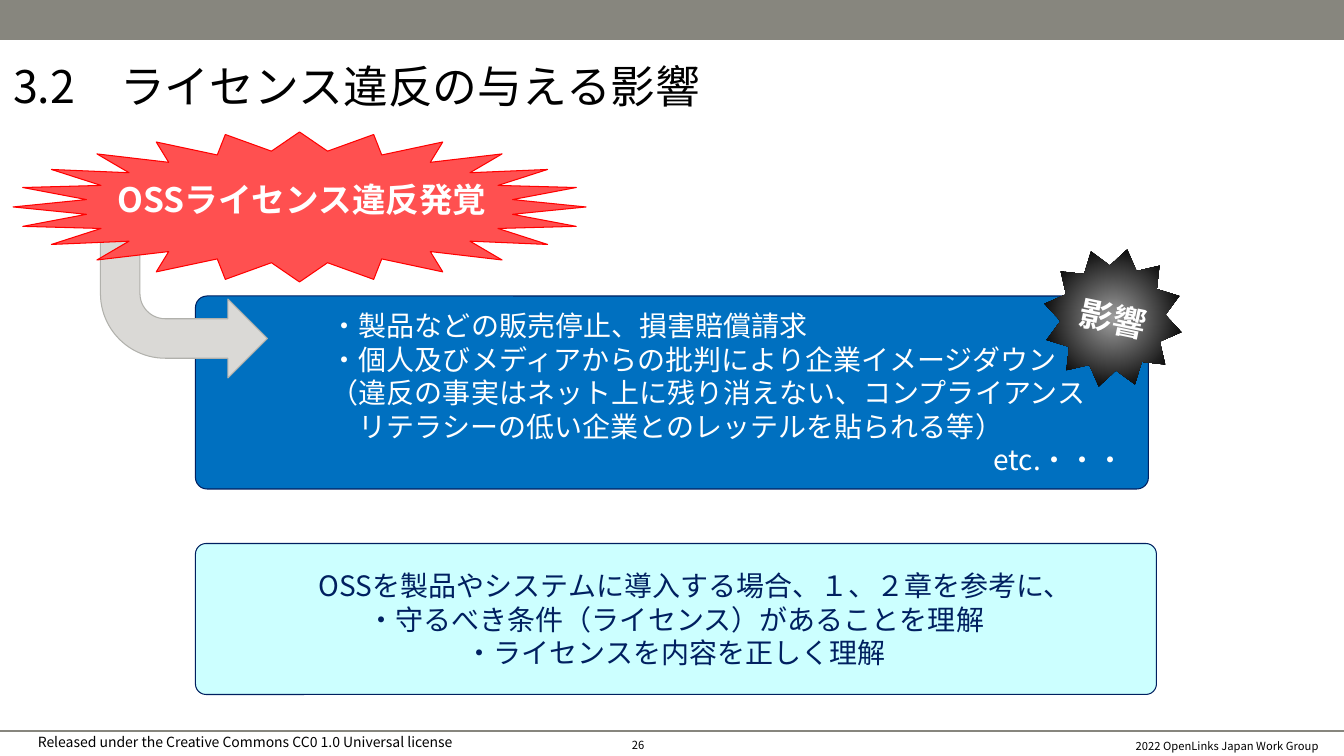
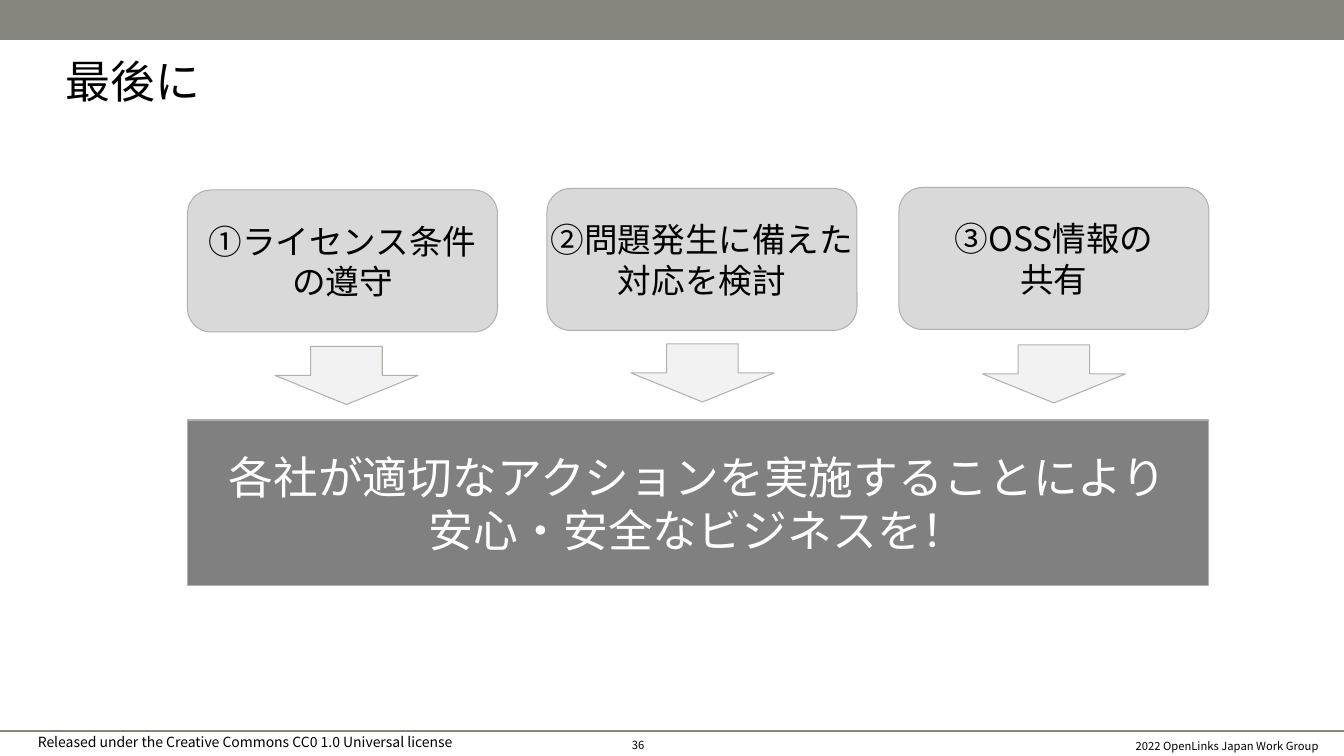
from pptx import Presentation
from pptx.dml.color import RGBColor
from pptx.enum.shapes import MSO_CONNECTOR, MSO_SHAPE
from pptx.enum.text import MSO_ANCHOR, PP_ALIGN
from pptx.oxml import parse_xml
from pptx.oxml.ns import nsdecls, qn
from pptx.util import Pt
from lxml.etree import SubElement

SCALE = 914400 / 100.8
WIDE, HIGH = 1344, 756
FONT = "Noto Sans CJK JP"
BLACK = RGBColor(0, 0, 0)
WHITE = RGBColor(255, 255, 255)
BAND = RGBColor(0x87, 0x86, 0x7E)
NAVY = RGBColor(0, 0x20, 0x60)
BLUE = RGBColor(0, 0x70, 0xC0)
CYAN = RGBColor(0xCC, 0xFF, 0xFF)
CORAL = RGBColor(0xFF, 0x50, 0x50)
RED = RGBColor(0xFF, 0, 0)
EDGE = RGBColor(0xB1, 0xB1, 0xAC)
STONE = RGBColor(0xDA, 0xD9, 0xD6)
GRAY = RGBColor(0x80, 0x80, 0x80)
SILVER = RGBColor(0xD9, 0xD9, 0xD9)
PALE = RGBColor(0xF2, 0xF2, 0xF2)
LEFT, MID, RIGHT = PP_ALIGN.LEFT, PP_ALIGN.CENTER, PP_ALIGN.RIGHT
NONE = (0, 0, 0, 0)
ROOMY = (20, 16, 20, 16)
USUAL = (10, 5, 10, 5)


def px(size):
    return round(size * SCALE)


def write(shape, text, size, color=BLACK, align=MID, pad=USUAL,
          bold=False, wrap=True, anchor=MSO_ANCHOR.MIDDLE):
    frame = shape.text_frame
    frame.text = text
    frame.word_wrap = wrap
    frame.vertical_anchor = anchor
    (frame.margin_left, frame.margin_top,
     frame.margin_right, frame.margin_bottom) = map(px, pad)
    lines = frame.paragraphs
    for line in lines:
        line.alignment = align
        if len(lines) > 1:
            line.line_spacing = Pt(size * 1.2)
        for run in line.runs:
            font = run.font
            font.name, font.size, font.bold = FONT, Pt(size), bold
            font.color.rgb = color
            SubElement(font._element, qn("a:ea")).set("typeface", FONT)
    return lines


def label(slide, box, text, size, **style):
    shape = slide.shapes.add_textbox(*map(px, box))
    write(shape, text, size, **style)


def block(slide, kind, box, fill=None, edge=None, round_by=None):
    shape = slide.shapes.add_shape(kind, *map(px, box))
    shape.shadow.inherit = False
    if fill is not None:
        shape.fill.solid()
        shape.fill.fore_color.rgb = fill
    if edge is None:
        shape.line.fill.background()
    else:
        shape.line.color.rgb = edge
        shape.line.width = Pt(0.75)
    if round_by is not None:
        shape.adjustments[0] = round_by
    return shape


def indent(line, left):
    line._p.get_or_add_pPr().set("marL", str(px(left)))


def glow(shape):
    grad = parse_xml(
        f'<a:gradFill {nsdecls("a")} rotWithShape="1"><a:gsLst>'
        '<a:gs pos="0"><a:srgbClr val="A0A0A0"/></a:gs>'
        '<a:gs pos="66000"><a:srgbClr val="000000"/></a:gs></a:gsLst>'
        '<a:path path="circle"><a:fillToRect l="50000" t="50000" '
        'r="50000" b="50000"/></a:path></a:gradFill>')
    shape._element.spPr.find(qn("a:prstGeom")).addnext(grad)


def start(deck, title, box, number):
    slide = deck.slides.add_slide(deck.slide_layouts[6])
    rule = slide.shapes.add_connector(
        MSO_CONNECTOR.STRAIGHT, 0, px(731), px(WIDE), px(731))
    rule.line.color.rgb = BAND
    rule.line.width = Pt(1)
    SubElement(rule._element.spPr, qn("a:effectLst"))
    block(slide, MSO_SHAPE.RECTANGLE, (0, 0, WIDE, 40), BAND)
    label(slide, (3, 729, 484, 27),
          "Released under the Creative Commons CC0 1.0 Universal license",
          10, anchor=MSO_ANCHOR.TOP)
    label(slide, (728, 735, 591, 22), "2022 OpenLinks Japan Work Group",
          8, align=RIGHT, pad=NONE)
    label(slide, (632, 734, 80, 22), number, 8, align=LEFT, pad=NONE)
    label(slide, box, title, 32, align=LEFT, pad=NONE)
    return slide


def impact(deck):
    slide = start(deck, "3.2　ライセンス違反の与える影響",
                  (13, 47, 957, 77), "26")
    advice = block(slide, MSO_SHAPE.ROUNDED_RECTANGLE,
                   (195.5, 543.5, 961, 151), CYAN, NAVY, 0.07)
    lines = write(advice, "OSSを製品やシステムに導入する場合、１、２章を参考に、\n"
                  "・守るべき条件（ライセンス）があることを理解\n"
                  "・ライセンスを内容を正しく理解", 20, NAVY, pad=ROOMY)
    indent(lines[0], 39)

    harm = block(slide, MSO_SHAPE.ROUNDED_RECTANGLE,
                 (195.5, 296, 953, 193), BLUE, NAVY, 0.06)
    lines = write(harm, "・製品などの販売停止、損害賠償請求\n"
                  "・個人及びメディアからの批判により企業イメージダウン\n"
                  "（違反の事実はネット上に残り消えない、コンプライアンス\n"
                  "リテラシーの低い企業とのレッテルを貼られる等）\n"
                  "etc.・・・", 20, WHITE, LEFT, ROOMY)
    for line, left in zip(lines, (112, 112, 112, 140)):
        indent(line, left)
    lines[-1].alignment = RIGHT

    badge = block(slide, MSO_SHAPE.STAR_12_POINT, (1043, 248, 140, 140))
    glow(badge)
    badge.rotation = 11.7
    write(badge, "影響", 24, WHITE, pad=ROOMY, bold=True, wrap=False)

    arrow = block(slide, MSO_SHAPE.BENT_ARROW, (100.5, 220, 167, 158),
                  STONE, EDGE)
    arrow.adjustments[3] = 0.41
    arrow._element.spPr.xfrm.set("flipV", "1")
    block(slide, MSO_SHAPE.STAR_24_POINT, (13, 132, 573, 150), CORAL, RED)
    label(slide, (60, 163, 484, 72), "OSSライセンス違反発覚", 24,
          color=WHITE, pad=ROOMY, bold=True)


def closing(deck):
    slide = start(deck, "最後に", (66, 42, 856, 77), "36")
    goal = block(slide, MSO_SHAPE.RECTANGLE, (187.5, 420, 1021, 166),
                 GRAY, EDGE)
    write(goal, "各社が適切なアクションを実施することにより\n"
          "安心・安全なビジネスを！", 32, WHITE, wrap=False)
    steps = (
        ("①ライセンス条件\nの遵守", 187.5, 190, 275, 346.5),
        ("②問題発生に備えた\n対応を検討", 547, 188.5, 631, 344),
        ("③OSS情報の\n共有", 899, 187.5, 982.5, 345),
    )
    for text, left, top, tip_left, tip_top in steps:
        step = block(slide, MSO_SHAPE.ROUNDED_RECTANGLE,
                     (left, top, 310, 142), SILVER, EDGE)
        write(step, text, 24, wrap=False)
        block(slide, MSO_SHAPE.DOWN_ARROW, (tip_left, tip_top, 143, 58),
              PALE, EDGE)


def main():
    deck = Presentation()
    deck.slide_width, deck.slide_height = px(WIDE), px(HIGH)
    impact(deck)
    closing(deck)
    deck.save("out.pptx")


main()
